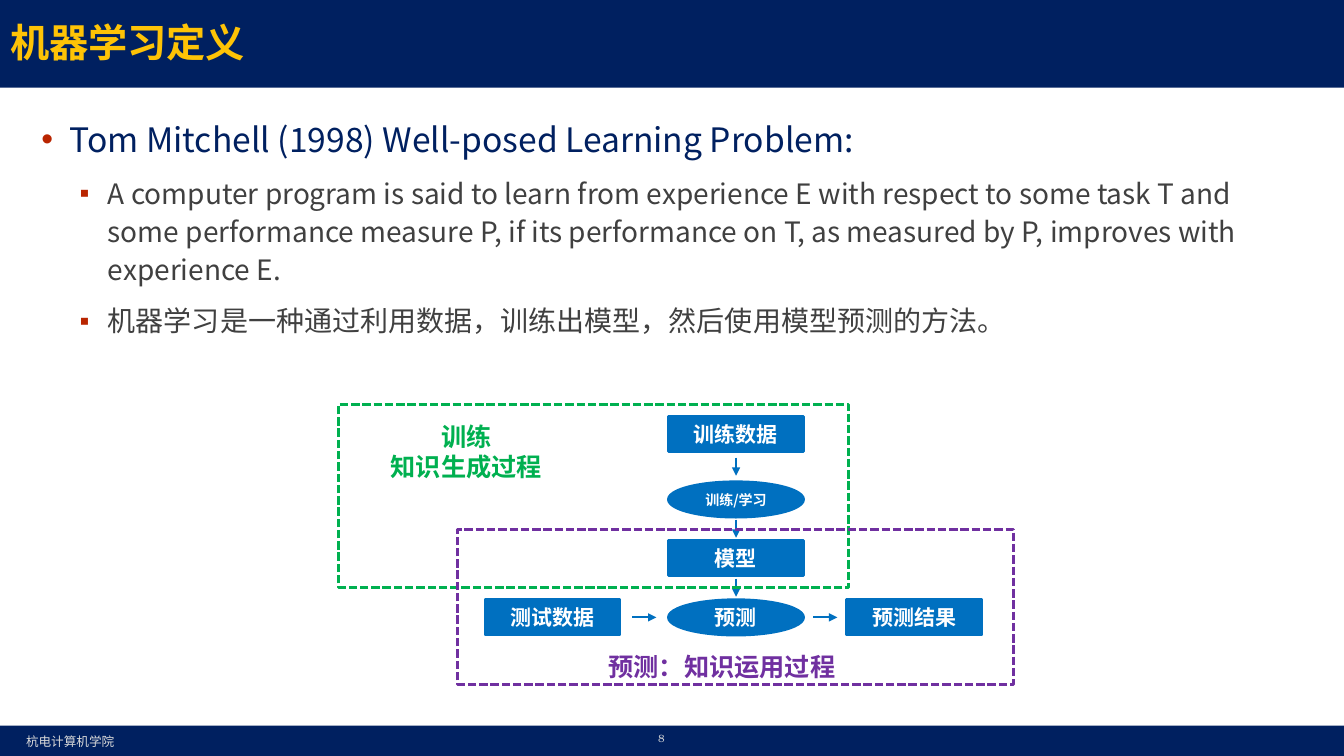
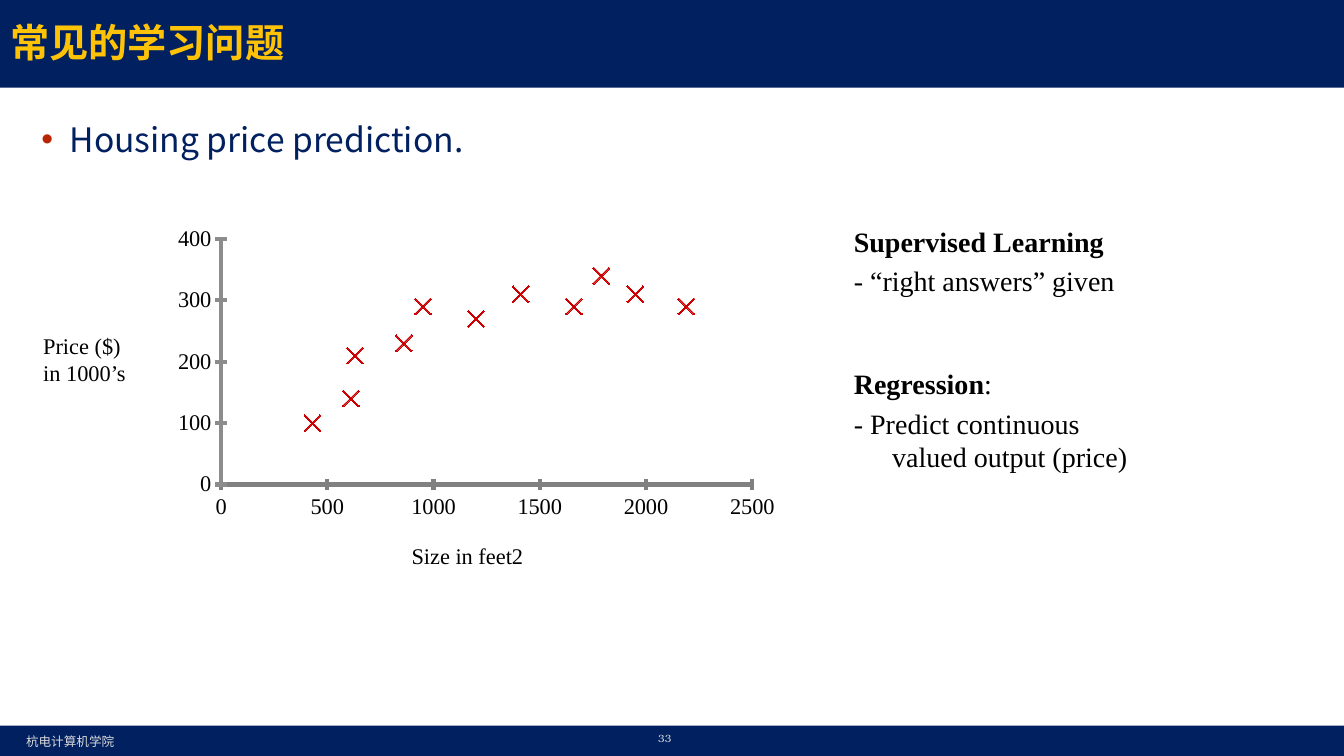
"""Build two machine learning lecture slides."""
from lxml.etree import SubElement
from pptx import Presentation
from pptx.chart.data import XyChartData
from pptx.dml.color import RGBColor
from pptx.enum.chart import XL_CHART_TYPE, XL_MARKER_STYLE, XL_TICK_MARK
from pptx.enum.dml import MSO_LINE
from pptx.enum.shapes import MSO_CONNECTOR, MSO_SHAPE
from pptx.enum.text import MSO_ANCHOR, MSO_AUTO_SIZE, PP_ALIGN
from pptx.oxml import parse_xml
from pptx.oxml.ns import nsdecls, qn
from pptx.util import Inches, Pt

COLORS = {
    "navy": "002060", "gold": "FEC306", "pale": "D9D9D9", "bullet": "B92500",
    "body": "404040", "blue": "0070C0", "green": "00B050", "purple": "7030A0",
    "white": "FFFFFF", "black": "000000", "x_axis": "808080", "y_axis": "8C8C8C",
    "cross": "CC0000",
}
SANS = "Noto Sans CJK SC"
SERIF = "Times New Roman"
BULLETS = [("•", 0.28, 24, "navy"), ("▪", 0.66, 20, "body")]


def rgb(name):
    """Return the named colour."""
    return RGBColor.from_string(COLORS[name])


def place(left, top, width, height):
    """Return a box in inches as lengths."""
    return [Inches(value) for value in (left, top, width, height)]


def style_font(font, size, color, name=SANS, bold=False):
    """Set the size, colour, face and weight of a font."""
    font.size, font.name, font.bold = Pt(size), name, bold
    font.color.rgb = rgb(color)


def style_run(run, size, color, name=SANS, bold=False):
    """Format a run, with an East Asian face for Chinese text."""
    style_font(run.font, size, color, name, bold)
    east_asian = SubElement(run.font._element, qn("a:ea"))
    east_asian.set("typeface", SANS)


def write(frame, text, size, color, name=SANS, bold=False, align=PP_ALIGN.LEFT):
    """Fill a text frame and format every run alike."""
    frame.text = text
    for paragraph in frame.paragraphs:
        paragraph.alignment = align
        for run in paragraph.runs:
            style_run(run, size, color, name, bold)


def add_label(slide, box, text, size, color, wrap=False, **style):
    """Add a text box holding one uniform label."""
    label = slide.shapes.add_textbox(*place(*box))
    label.text_frame.word_wrap = wrap
    write(label.text_frame, text, size, color, **style)
    return label


def add_block(slide, kind, box, fill=None, line=None, dash=None):
    """Add a flat preset shape."""
    block = slide.shapes.add_shape(kind, *place(*box))
    block.shadow.inherit = False
    if fill:
        block.fill.solid()
        block.fill.fore_color.rgb = rgb(fill)
    else:
        block.fill.background()
    if line:
        block.line.color.rgb = rgb(line)
        block.line.width = Pt(2)
        if dash:
            block.line.dash_style = dash
    else:
        block.line.fill.background()
    return block


def add_arrow(slide, x1, y1, x2, y2):
    """Add a thin blue arrow."""
    arrow = slide.shapes.add_connector(
        MSO_CONNECTOR.STRAIGHT, *place(x1, y1, x2, y2))
    arrow.line.color.rgb = rgb("blue")
    arrow.line.width = Pt(1.5)
    SubElement(arrow.line._get_or_add_ln(), qn("a:tailEnd")).set("type", "triangle")
    SubElement(arrow._element.spPr, qn("a:effectLst"))


def dress_layout(slide):
    """Give the layout of a slide its bands, footer and placeholder boxes."""
    layout = slide.slide_layout
    parts = [
        add_block(slide, MSO_SHAPE.RECTANGLE, (0, 0, 13.33, 0.87), "navy"),
        add_block(slide, MSO_SHAPE.RECTANGLE, (0, 7.2, 13.33, 0.3), "navy"),
        add_label(slide, (0.16, 7.23, 2, 0.25), "杭电计算机学院", 9, "pale", wrap=True),
    ]
    for depth, part in enumerate(parts, 2):
        layout.shapes._spTree.insert(depth, part._element)
    boxes = [(0, 0.04, 13.33, 0.74), (0.31, 1.07, 12.7, 5.98)]
    for holder, box in zip(layout.placeholders, boxes):
        holder.left, holder.top, holder.width, holder.height = place(*box)


def add_bullet(paragraph, level):
    """Indent a paragraph and give it the bullet of its level."""
    mark, indent, _, _ = BULLETS[level]
    paragraph.level = level
    properties = paragraph._p.get_or_add_pPr()
    properties.set("marL", str(Inches(indent)))
    properties.set("indent", str(Inches(-0.28)))
    color = SubElement(properties, qn("a:buClr"))
    SubElement(color, qn("a:srgbClr")).set("val", COLORS["bullet"])
    SubElement(properties, qn("a:buFont")).set("typeface", "Arial")
    SubElement(properties, qn("a:buChar")).set("char", mark)


def fill_slide(slide, title, points, number):
    """Write the title, the bulleted points and the page number."""
    heading = slide.shapes.title.text_frame
    heading.vertical_anchor = MSO_ANCHOR.MIDDLE
    heading.auto_size = MSO_AUTO_SIZE.NONE
    write(heading, title, 28, "gold", bold=True, align=PP_ALIGN.JUSTIFY)
    body = slide.placeholders[1].text_frame
    body.auto_size = MSO_AUTO_SIZE.NONE
    body.text = "\n".join(text for _, text in points)
    for index, (paragraph, (level, _)) in enumerate(zip(body.paragraphs, points)):
        paragraph.line_spacing = 1.14
        paragraph.space_before = Pt(9 if index else 0)
        add_bullet(paragraph, level)
        style_run(paragraph.runs[0], *BULLETS[level][2:])
    add_label(slide, (6.43, 7.21, 0.39, 0.23), number, 7.5, "pale",
              name="TeX Gyre Bonum")


def add_learning_flow(slide, left, top):
    """Draw the training and prediction flow from its top left corner."""
    width, height, length = 1.34, 0.35, 0.18
    test, center, result = (left + x for x in (1.45, 3.27, 5.04))
    rows = [top + y for y in (0.12, 0.77, 1.35, 1.94)]
    steps = [
        (MSO_SHAPE.RECTANGLE, center, rows[0], "训练数据", 15),
        (MSO_SHAPE.OVAL, center, rows[1], "训练/学习", 10),
        (MSO_SHAPE.RECTANGLE, center, rows[2], "模型", 15),
        (MSO_SHAPE.OVAL, center, rows[3], "预测", 15),
        (MSO_SHAPE.RECTANGLE, test, rows[3], "测试数据", 15),
        (MSO_SHAPE.RECTANGLE, result, rows[3], "预测结果", 15),
    ]
    for kind, x, y, text, size in steps:
        step = add_block(slide, kind, (x, y, width, height), "blue", "blue")
        frame = step.text_frame
        frame.margin_left = frame.margin_right = 0
        frame.vertical_anchor = MSO_ANCHOR.MIDDLE
        write(frame, text, size, "white", bold=True, align=PP_ALIGN.CENTER)
    axis = center + width / 2
    for above, below in zip(rows, rows[1:]):
        middle = (above + height + below) / 2
        add_arrow(slide, axis, middle - length / 2, axis, middle + length / 2)
    level = rows[3] + height / 2
    for before, after in ((test, center), (center, result)):
        middle = (before + width + after) / 2
        add_arrow(slide, middle - 0.12, level, middle + 0.12, level)
    stages = [
        ((0, 0, 5.06, 1.82), (0.41, 0.12, 1.71, 0.71), "训练\n知识生成过程", "green"),
        ((1.18, 1.24, 5.51, 1.54), (2.57, 2.4, 2.46, 0.4), "预测：知识运用过程", "purple"),
    ]
    for frame_box, label_box, text, color in stages:
        (fx, fy, *frame_size), (lx, ly, *label_size) = frame_box, label_box
        add_block(slide, MSO_SHAPE.RECTANGLE, (left + fx, top + fy, *frame_size),
                  line=color, dash=MSO_LINE.SQUARE_DOT)
        add_label(slide, (left + lx, top + ly, *label_size), text, 18, color,
                  name="Arial", bold=True, align=PP_ALIGN.CENTER)


def set_plot_area(chart, x, y, w, h):
    """Fix the inner plot area as fractions of the chart."""
    plot_area = chart._chartSpace.chart.plotArea
    for layout in plot_area.findall(qn("c:layout")):
        plot_area.remove(layout)
    values = "".join(f'<c:{tag} val="{value}"/>' for tag, value in (
        ("xMode", "edge"), ("yMode", "edge"), ("x", x), ("y", y), ("w", w), ("h", h)))
    plot_area.insert(0, parse_xml(
        f'<c:layout {nsdecls("c")}><c:manualLayout><c:layoutTarget val="inner"/>'
        f'{values}</c:manualLayout></c:layout>'))


def add_price_chart(slide, left, top):
    """Plot house price against size with both axis captions."""
    sizes = [430, 610, 630, 860, 950, 1200, 1410, 1660, 1790, 1950, 2190]
    prices = [100, 140, 210, 230, 290, 270, 310, 290, 340, 310, 290]
    data = XyChartData()
    houses = data.add_series("Series 1")
    for size, price in zip(sizes, prices):
        houses.add_data_point(size, price)
    chart = slide.shapes.add_chart(
        XL_CHART_TYPE.XY_SCATTER, *place(left, top, 6.79, 3.21), data).chart
    chart.has_legend = chart.has_title = False
    style_font(chart.font, 10, "black", SERIF)
    axes = [(chart.category_axis, 2500, 500, "x_axis"),
            (chart.value_axis, 400, 100, "y_axis")]
    for axis, maximum, step, color in axes:
        axis.minimum_scale, axis.maximum_scale, axis.major_unit = 0, maximum, step
        axis.has_major_gridlines = False
        axis.major_tick_mark = XL_TICK_MARK.CROSS
        axis.minor_tick_mark = XL_TICK_MARK.NONE
        axis.format.line.color.rgb = rgb(color)
        axis.format.line.width = Pt(3)
        style_font(axis.tick_labels.font, 16, "black", SERIF)
    chart.plots[0].vary_by_categories = False
    series = chart.plots[0].series[0]
    series.smooth = False
    series.format.line.fill.background()
    series.marker.style, series.marker.size = XL_MARKER_STYLE.X, 12
    series.marker.format.fill.background()
    series.marker.format.line.color.rgb = rgb("cross")
    set_plot_area(chart, 0.183, 0.069, 0.776, 0.759)
    add_label(slide, (left - 0.62, top + 1.1, 1.1, 0.64), "Price ($)\nin 1000’s",
              16, "black", name=SERIF)
    add_label(slide, (left + 2.89, top + 3.18, 1.59, 0.37), "Size in feet2",
              16, "black", name=SERIF, align=PP_ALIGN.CENTER)


def add_note(slide, box, term, suffix, detail):
    """Add a bold term over its hanging explanation."""
    note = add_label(slide, box, f"{term}\n{detail}", 20, "black", wrap=True, name=SERIF)
    heading, explanation = note.text_frame.paragraphs
    heading.runs[0].font.bold = True
    if suffix:
        colon = heading.add_run()
        colon.text = suffix
        style_run(colon, 20, "black", SERIF)
    explanation.space_before = Pt(4)
    for paragraph in (heading, explanation):
        properties = paragraph._p.get_or_add_pPr()
        properties.set("marL", str(Inches(0.38)))
        properties.set("indent", str(Inches(-0.38)))


def main():
    """Build and save the slides."""
    deck = Presentation()
    deck.slide_width, deck.slide_height = Inches(13.33), Inches(7.5)
    definition, problems = (deck.slides.add_slide(deck.slide_layouts[1])
                            for _ in range(2))
    dress_layout(definition)
    fill_slide(definition, "机器学习定义", [
        (0, "Tom Mitchell (1998) Well-posed Learning Problem:"),
        (1, "A computer program is said to learn from experience E with respect to "
            "some task T and some performance measure P, if its performance on T, "
            "as measured by P, improves with experience E."),
        (1, "机器学习是一种通过利用数据，训练出模型，然后使用模型预测的方法。"),
    ], "8")
    add_learning_flow(definition, 3.36, 4.01)
    fill_slide(problems, "常见的学习问题", [(0, "Housing price prediction.")], "33")
    add_price_chart(problems, 0.95, 2.15)
    add_note(problems, (8.37, 2.18, 3.14, 1), "Supervised Learning", "",
             "- “right answers” given")
    add_note(problems, (8.37, 3.59, 2.96, 1.6), "Regression", ":",
             "- Predict continuous valued output (price)")
    deck.save("out.pptx")


if __name__ == "__main__":
    main()
